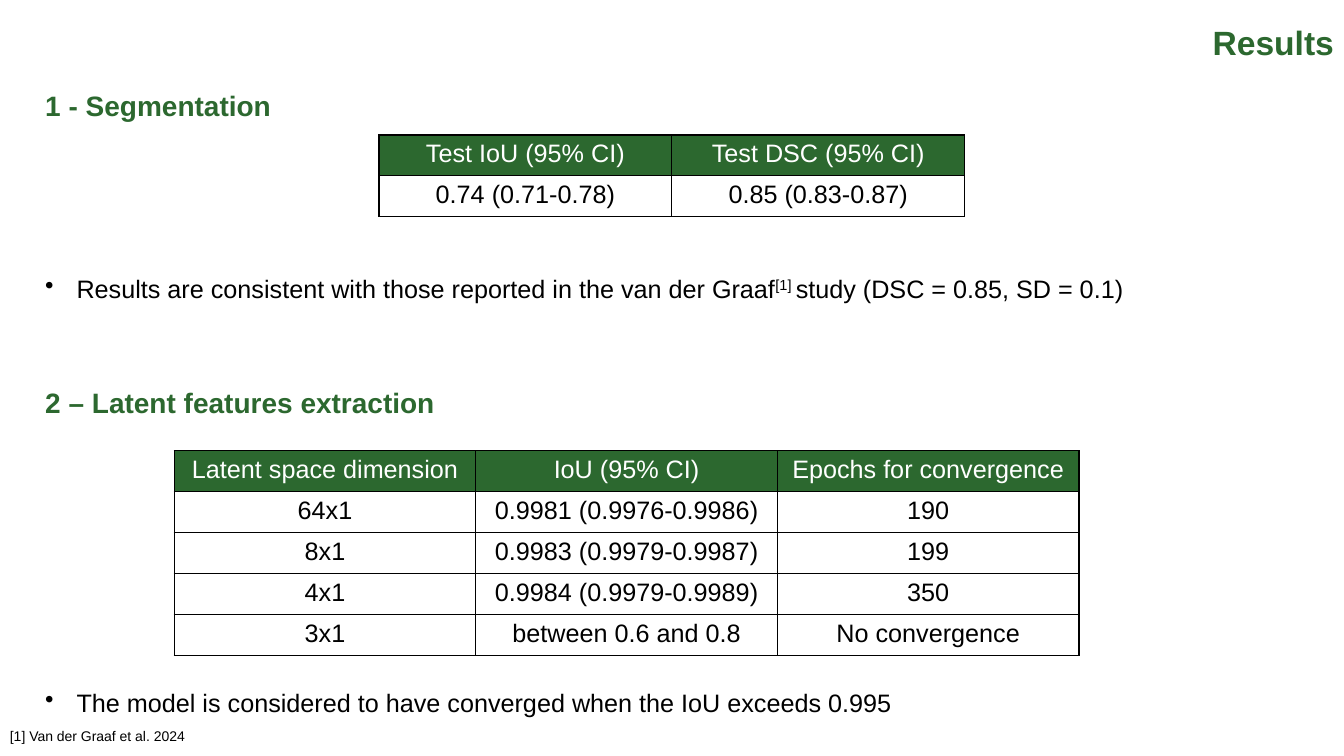
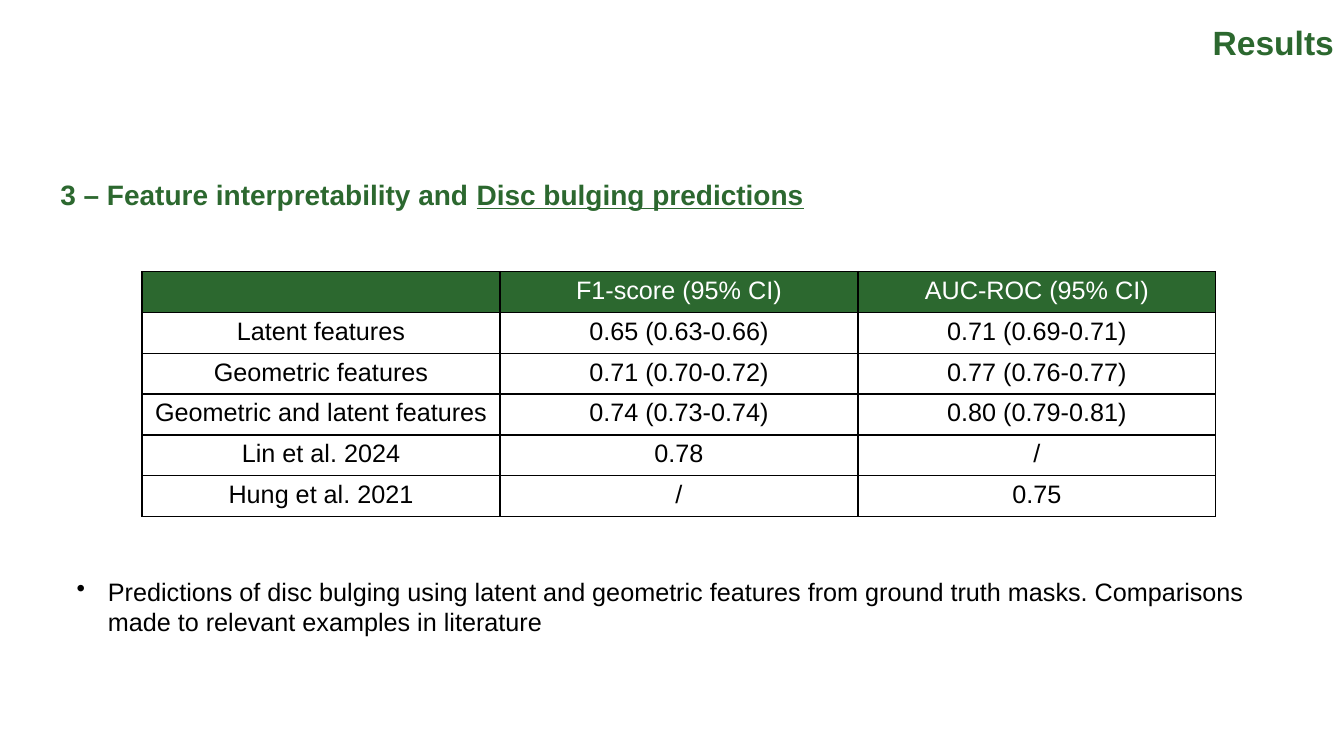
import pptx
import pptx.dml.color
import pptx.enum.text
import pptx.oxml
import pptx.oxml.ns
import pptx.util
from dataclasses import dataclass

Cm = pptx.util.Cm
Pt = pptx.util.Pt
ALIGN = pptx.enum.text.PP_ALIGN
ANCHOR = pptx.enum.text.MSO_ANCHOR
RGB = pptx.dml.color.RGBColor


@dataclass(frozen=True)
class Theme:
    font: str = "Arial"
    green: RGB = RGB(0x2C, 0x68, 0x2F)
    black: RGB = RGB(0, 0, 0)
    white: RGB = RGB(255, 255, 255)
    title: int = 24
    heading: int = 20
    body: int = 18
    note: int = 10
    border: int = 1
    row_height: float = 1.03
    bullet_indent: float = 0.79


THEME = Theme()


def set_font(p, size, color, bold=False):
    p.font.name = THEME.font
    p.font.size = Pt(size)
    p.font.bold = bold
    p.font.color.rgb = color


def add_runs(p, *texts):
    runs = []
    for text in texts:
        r = p.add_run()
        r.text = text
        runs.append(r)
    return runs


def add_slide(prs, title):
    s = prs.slides.add_slide(prs.slide_layouts[5])
    sp = s.shapes.title
    sp.left, sp.top, sp.width, sp.height = Cm(9.31), Cm(0), Cm(24.56), Cm(2.1)
    tf = sp.text_frame
    tf.text = title
    tf.vertical_anchor = ANCHOR.MIDDLE
    p = tf.paragraphs[0]
    p.alignment = ALIGN.RIGHT
    set_font(p, THEME.title, THEME.green, bold=True)
    return s


def add_text(s, left, top, width, height, size, color, bold=False):
    sp = s.shapes.add_textbox(Cm(left), Cm(top), Cm(width), Cm(height))
    tf = sp.text_frame
    tf.word_wrap = True
    p = tf.paragraphs[0]
    set_font(p, size, color, bold)
    return p


def add_heading(s, left, top, *texts):
    p = add_text(s, left, top, 22, 1.11, THEME.heading, THEME.green, bold=True)
    return add_runs(p, *texts)


def add_bullet(s, left, top, width, height, *texts):
    p = add_text(s, left, top, width, height, THEME.body, THEME.black)
    pPr = p._p.get_or_add_pPr()
    indent = Cm(THEME.bullet_indent)
    pPr.set("marL", str(indent))
    pPr.set("indent", str(-indent))
    bullet = pptx.oxml.parse_xml(
        f'<a:buChar {pptx.oxml.ns.nsdecls("a")} char="•"/>')
    pPr.insert(0, bullet)
    return add_runs(p, *texts)


def add_borders(cell):
    tcPr = cell._tc.get_or_add_tcPr()
    for side in ("lnL", "lnR", "lnT", "lnB"):
        tcPr.append(pptx.oxml.parse_xml(
            f'<a:{side} {pptx.oxml.ns.nsdecls("a")} w="{Pt(THEME.border)}">'
            f'<a:solidFill><a:srgbClr val="{THEME.black}"/></a:solidFill>'
            f'</a:{side}>'))


def format_cell(cell, text, header):
    add_borders(cell)
    if header:
        cell.fill.solid()
        cell.fill.fore_color.rgb = THEME.green
    else:
        cell.fill.background()
    p = cell.text_frame.paragraphs[0]
    p.alignment = ALIGN.CENTER
    set_font(p, THEME.body, THEME.white if header else THEME.black)
    if text:
        add_runs(p, text)


def add_results_table(s, left, top, col_width, rows):
    n_rows, n_cols = len(rows), len(rows[0])
    frame = s.shapes.add_table(
        n_rows, n_cols, Cm(left), Cm(top),
        Cm(col_width * n_cols), Cm(THEME.row_height * n_rows))
    table = frame.table
    table.first_row = False
    table.horz_banding = False
    for column in table.columns:
        column.width = Cm(col_width)
    for i, row in enumerate(rows):
        table.rows[i].height = Cm(THEME.row_height)
        for j, text in enumerate(row):
            format_cell(table.cell(i, j), text, header=i == 0)


def build_segmentation_and_latent(prs):
    s = add_slide(prs, "Results")
    add_heading(s, 0.89, 2.1, "1 - Segmentation")
    add_results_table(s, 9.55, 3.4, 7.38, [
        ("Test IoU (95% CI)", "Test DSC (95% CI)"),
        ("0.74 (0.71-0.78)", "0.85 (0.83-0.87)"),
    ])
    runs = add_bullet(
        s, 0.89, 6.76, 30, 1.02,
        "Results are consistent with those reported in the van der Graaf",
        "[1] ", "study (DSC = 0.85, SD = 0.1)")
    runs[1]._r.get_or_add_rPr().set("baseline", "30000")

    add_heading(s, 0.89, 9.58, "2 – Latent features extraction")
    add_results_table(s, 4.39, 11.36, 7.6, [
        ("Latent space dimension", "IoU (95% CI)", "Epochs for convergence"),
        ("64x1", "0.9981 (0.9976-0.9986)", "190"),
        ("8x1", "0.9983 (0.9979-0.9987)", "199"),
        ("4x1", "0.9984 (0.9979-0.9989)", "350"),
        ("3x1", "between 0.6 and 0.8", "No convergence"),
    ])
    add_bullet(
        s, 0.89, 17.2, 30, 1.02,
        "The model is considered to have converged when the IoU exceeds 0.995")
    note = add_text(s, 0, 18.21, 16.66, 0.84, THEME.note, THEME.black)
    add_runs(note, "[1] Van der Graaf et al. 2024")


def build_disc_bulging(prs):
    s = add_slide(prs, "Results")
    runs = add_heading(s, 1.27, 4.35, "3 – Feature interpretability and ",
                       "Disc bulging predictions")
    runs[1].font.underline = True
    add_results_table(s, 3.58, 6.84, 9.02, [
        ("", "F1-score (95% CI)", "AUC-ROC (95% CI)"),
        ("Latent features", "0.65 (0.63-0.66)", "0.71 (0.69-0.71)"),
        ("Geometric features", "0.71 (0.70-0.72)", "0.77 (0.76-0.77)"),
        ("Geometric and latent features", "0.74 (0.73-0.74)",
         "0.80 (0.79-0.81)"),
        ("Lin et al. 2024", "0.78", "/"),
        ("Hung et al. 2021", "/", "0.75"),
    ])
    add_bullet(
        s, 1.68, 14.4, 30.53, 1.8,
        "Predictions of disc bulging using latent and geometric features from "
        "ground truth masks. Comparisons made to relevant examples in "
        "literature")


def main():
    prs = pptx.Presentation()
    prs.slide_width, prs.slide_height = Cm(33.87), Cm(19.05)
    build_segmentation_and_latent(prs)
    build_disc_bulging(prs)
    prs.save("out.pptx")


if __name__ == "__main__":
    main()
